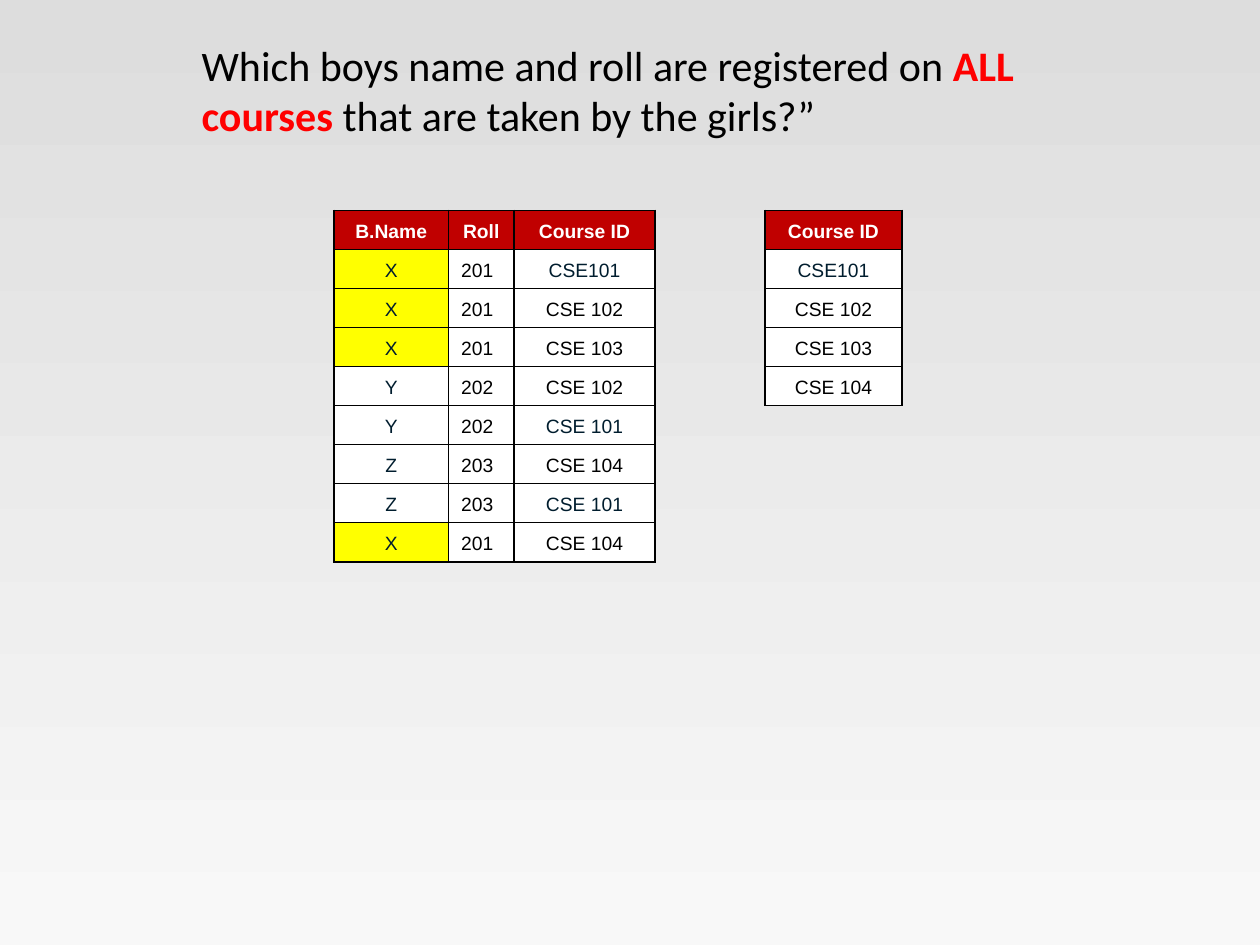
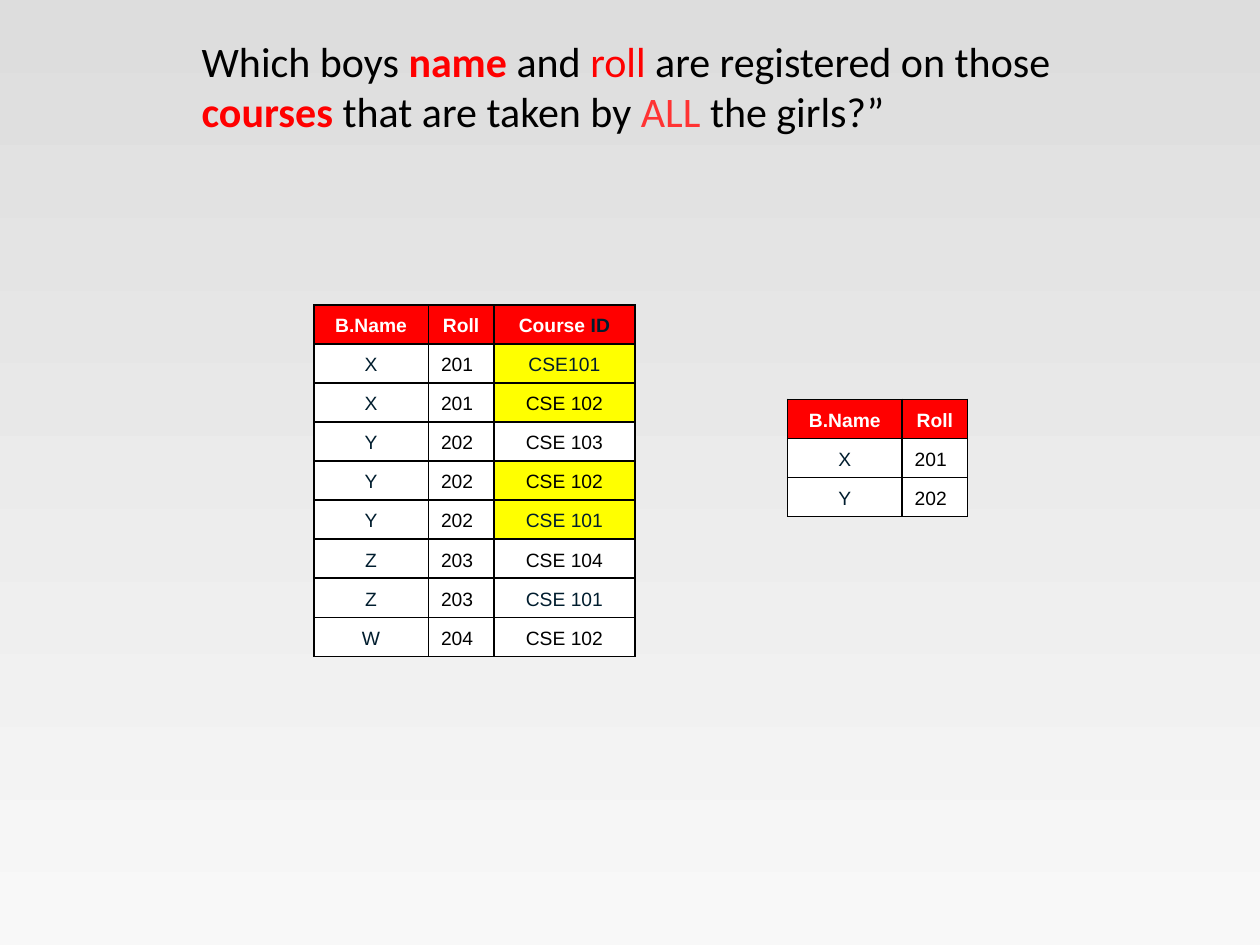
"""Build two slides on boys' course registrations, each with a question and two tables."""
from lxml import etree
from pptx import Presentation
from pptx.dml.color import RGBColor
from pptx.enum.text import MSO_ANCHOR, MSO_AUTO_SIZE, PP_ALIGN
from pptx.oxml.ns import qn
from pptx.util import Inches, Pt

TOP, MIDDLE = MSO_ANCHOR.TOP, MSO_ANCHOR.MIDDLE
LEFT, CENTER = PP_ALIGN.LEFT, PP_ALIGN.CENTER
NO_AUTOFIT = MSO_AUTO_SIZE.NONE

COLORS = {
    "black": "000000", "white": "FFFFFF", "navy": "001D2E", "yellow": "FFFF00",
    "red": "FF0000", "light red": "FF3333", "dark red": "C00000",
    "background top": "DDDDDD", "background bottom": "F8F8F8",
}
COLUMN_WIDTHS = {"B.Name": 0.91, "Roll": 0.52, "Course ID": 1.12}
SINGLE_COLUMN_WIDTH = 1.09
ROW_HEIGHT = 0.31
TITLE_LEFT, TITLE_WIDTH = 1.5, 7.08
TITLE_FORMAT = {"name": "Calibri", "size": Pt(24)}
CELL_FORMAT = {"name": "Arial", "size": Pt(11)}

SLIDES = [
    {
        "title": [
            ("Which boys name and roll are registered on ", "black", False),
            ("ALL courses ", "red", True),
            ("that are taken by the girls?”", "black", False),
        ],
        "title top": 0.26, "title height": 0.91,
        "header fill": "dark red", "id color": "white",
        "tables": [
            {
                "at": (6.07, 1.67), "columns": ["Course ID"], "highlight": None,
                "rows": [["CSE101"], ["CSE 102"], ["CSE 103"], ["CSE 104"]],
            },
            {
                "at": (2.65, 1.67), "columns": ["B.Name", "Roll", "Course ID"],
                "highlight": ("B.Name", {"X"}),
                "rows": [
                    ["X", "201", "CSE101"], ["X", "201", "CSE 102"],
                    ["X", "201", "CSE 103"], ["Y", "202", "CSE 102"],
                    ["Y", "202", "CSE 101"], ["Z", "203", "CSE 104"],
                    ["Z", "203", "CSE 101"], ["X", "201", "CSE 104"],
                ],
            },
        ],
    },
    {
        "title": [
            ("Which boys ", "black", False), ("name", "red", True),
            (" and", "black", False), (" roll ", "red", False),
            ("are registered on those ", "black", False), ("courses", "red", True),
            (" that are taken by ", "black", False), ("ALL ", "light red", False),
            ("the girls?”", "black", False),
        ],
        "title top": 0.23, "title height": 1.31,
        "header fill": "red", "id color": "navy",
        "tables": [
            {
                "at": (2.49, 2.42), "columns": ["B.Name", "Roll", "Course ID"],
                "highlight": ("Course ID", {0, 1, 3, 4}),
                "rows": [
                    ["X", "201", "CSE101"], ["X", "201", "CSE 102"],
                    ["Y", "202", "CSE 103"], ["Y", "202", "CSE 102"],
                    ["Y", "202", "CSE 101"], ["Z", "203", "CSE 104"],
                    ["Z", "203", "CSE 101"], ["W", "204", "CSE 102"],
                ],
            },
            {
                "at": (6.25, 3.17), "columns": ["B.Name", "Roll"], "highlight": None,
                "rows": [["X", "201"], ["Y", "202"]],
            },
        ],
    },
]


def color(name):
    return RGBColor.from_string(COLORS[name])


def write_runs(paragraph, runs, font_format):
    for text, color_name, bold in runs:
        run = paragraph.add_run()
        run.text = text
        for attribute, value in {**font_format, "bold": bold}.items():
            setattr(run.font, attribute, value)
        run.font.color.rgb = color(color_name)


def add_borders(cell):
    properties = cell._tc.get_or_add_tcPr()
    for position, side in enumerate(("a:lnL", "a:lnR", "a:lnT", "a:lnB")):
        line = etree.Element(qn(side), w=str(Pt(1)))
        fill = etree.SubElement(line, qn("a:solidFill"))
        etree.SubElement(fill, qn("a:srgbClr"), val=COLORS["black"])
        properties.insert(position, line)


def fill_cell(cell, runs, fill_name, alignment):
    cell.fill.solid()
    cell.fill.fore_color.rgb = color(fill_name)
    cell.vertical_anchor = MIDDLE
    add_borders(cell)
    paragraph = cell.text_frame.paragraphs[0]
    paragraph.alignment = alignment
    paragraph.line_spacing = 1.15
    write_runs(paragraph, runs, CELL_FORMAT)


def header_runs(heading, id_color):
    if heading == "Course ID":
        return [("Course", "white", True), (" ID", id_color, True)]
    return [(heading, "white", True)]


def is_highlighted(highlight, heading, row_index, value):
    return bool(highlight) and heading == highlight[0] and (
        row_index in highlight[1] or value in highlight[1])


def add_course_table(slide, content, header_fill, id_color):
    columns, rows = content["columns"], content["rows"]
    widths = [COLUMN_WIDTHS[heading] for heading in columns]
    if len(columns) == 1:
        widths = [SINGLE_COLUMN_WIDTH]
    row_count = len(rows) + 1
    left, top = content["at"]
    table = slide.shapes.add_table(
        row_count, len(columns), Inches(left), Inches(top),
        Inches(sum(widths)), Inches(ROW_HEIGHT * row_count)).table
    table.first_row = table.horz_banding = False
    for row in table.rows:
        row.height = Inches(ROW_HEIGHT)
    for column_index, (heading, width) in enumerate(zip(columns, widths)):
        table.columns[column_index].width = Inches(width)
        fill_cell(table.cell(0, column_index), header_runs(heading, id_color),
                  header_fill, CENTER)
        for row_index, row in enumerate(rows):
            value = row[column_index]
            navy = heading == "B.Name" or value.endswith("101")
            marked = is_highlighted(content["highlight"], heading, row_index, value)
            fill_cell(table.cell(row_index + 1, column_index),
                      [(value, "navy" if navy else "black", False)],
                      "yellow" if marked else "white",
                      LEFT if heading == "Roll" else CENTER)


def add_title(slide, content):
    title = slide.shapes.title
    title.left, title.top = Inches(TITLE_LEFT), Inches(content["title top"])
    title.width, title.height = Inches(TITLE_WIDTH), Inches(content["title height"])
    frame = title.text_frame
    frame.word_wrap = True
    frame.auto_size = NO_AUTOFIT
    frame.vertical_anchor = TOP
    frame.paragraphs[0].alignment = LEFT
    write_runs(frame.paragraphs[0], content["title"], TITLE_FORMAT)


def set_background(master):
    fill = master.background.fill
    fill.gradient()
    fill.gradient_angle = 270
    for stop, name in zip(fill.gradient_stops, ("background top", "background bottom")):
        stop.color.rgb = color(name)


def main():
    presentation = Presentation()
    presentation.slide_width, presentation.slide_height = Inches(10), Inches(7.5)
    set_background(presentation.slide_master)
    title_only = presentation.slide_layouts.get_by_name("Title Only")
    for content in SLIDES:
        slide = presentation.slides.add_slide(title_only)
        add_title(slide, content)
        for table in content["tables"]:
            add_course_table(slide, table, content["header fill"], content["id color"])
    presentation.save("out.pptx")


if __name__ == "__main__":
    main()
